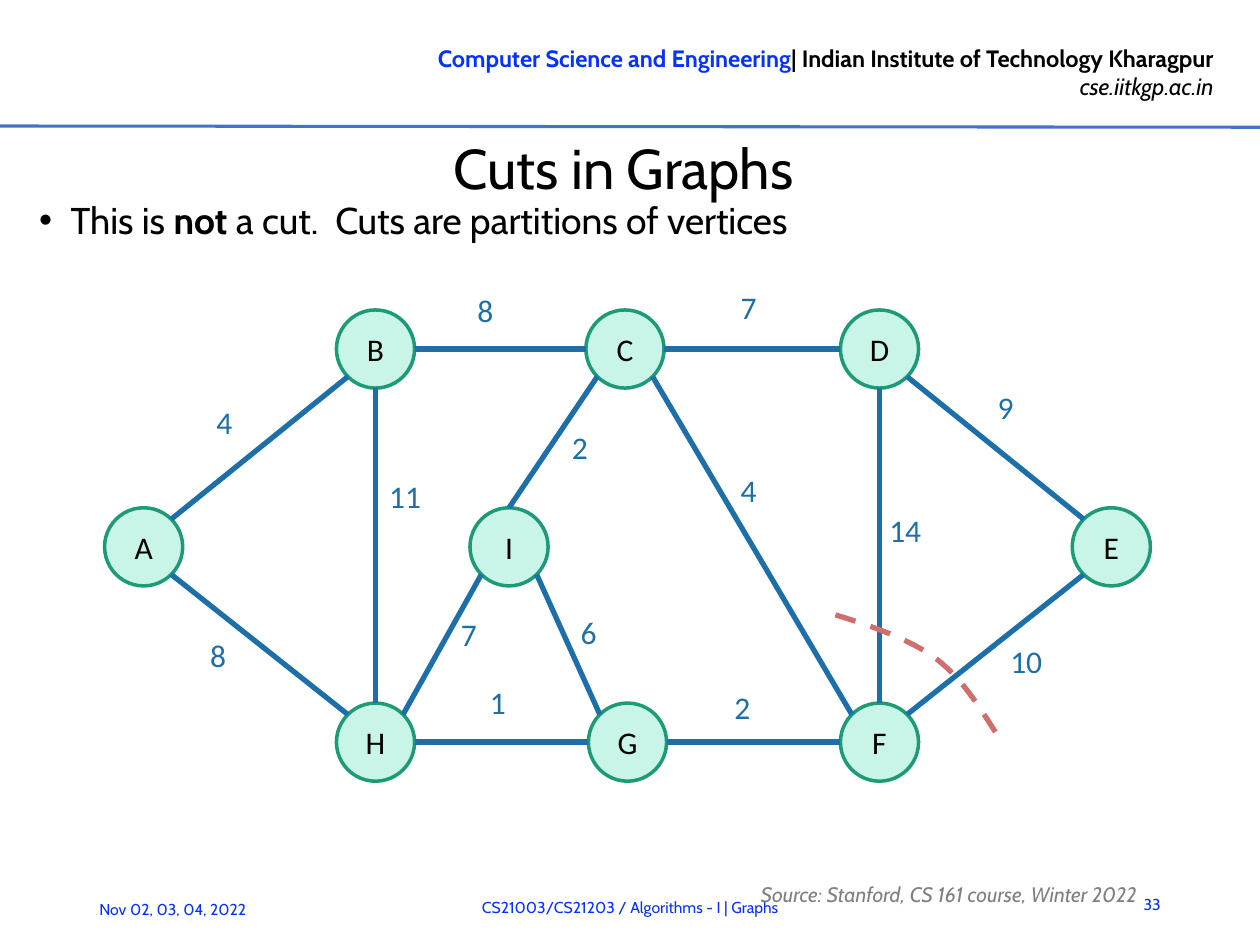
from math import sqrt

from lxml.etree import SubElement
from pptx import Presentation
from pptx.dml.color import RGBColor
from pptx.enum.dml import MSO_LINE
from pptx.enum.shapes import MSO_CONNECTOR as CONN, MSO_SHAPE as SHAPE
from pptx.enum.text import MSO_ANCHOR as ANCHOR, MSO_AUTO_SIZE as AUTO, PP_ALIGN as ALIGN
from pptx.oxml.ns import qn
from pptx.util import Emu, Pt

COLORS = {
    "black": "000000", "blue": "0432FF", "rule": "4472C4", "grey": "808080",
    "node": "C8F5E8", "ring": "1D9A78", "edge": "1D6FA9", "cut": "CF6E6C",
}
PX = 9144
RADIUS = 31
DIAG = RADIUS / sqrt(2)
SITES = {
    "N": (0, -RADIUS), "S": (0, RADIUS), "W": (-RADIUS, 0), "E": (RADIUS, 0),
    "NW": (-DIAG, -DIAG), "NE": (DIAG, -DIAG), "SW": (-DIAG, DIAG), "SE": (DIAG, DIAG),
}
TOP, MIDDLE, BOTTOM = 277, 434, 589
NODES = {
    "A": (114, MIDDLE), "B": (298, TOP), "C": (496, TOP), "D": (698, TOP), "E": (882, MIDDLE),
    "F": (698, BOTTOM), "G": (498, BOTTOM), "H": (298, BOTTOM), "I": (404, MIDDLE),
}
EDGES = [
    ("A", "NE", "B", "SW", "4", 162, 315),
    ("A", "SE", "H", "NW", "8", 157, 500),
    ("B", "E", "C", "W", "8", 369, 226),
    ("B", "S", "H", "N", "11", 299, 374),
    ("C", "E", "D", "W", "7", 578, 224),
    ("C", "SW", "I", "N", "2", 444, 335),
    ("C", "SE", "F", "NW", "4", 578, 369),
    ("D", "SE", "E", "NW", "9", 782, 303),
    ("D", "S", "F", "N", "14", 696, 401),
    ("E", "SW", "F", "NE", "10", 792, 505),
    ("I", "SW", "H", "NE", "7", 356, 483),
    ("I", "SE", "G", "NW", "6", 451, 482),
    ("H", "E", "G", "W", "1", 379, 537),
    ("G", "E", "F", "W", "2", 573, 541),
]
CUT = [
    [(790, 581), (776, 559), (763, 538), (742, 522)],
    [(742, 522), (721, 507), (692, 497), (663, 488)],
]


def px(n):
    return Emu(round(n * PX))


def bezier(points, t):
    weights = ((1 - t) ** 3, 3 * t * (1 - t) ** 2, 3 * t * t * (1 - t), t ** 3)
    return tuple(sum(w * pt[axis] for w, pt in zip(weights, points)) for axis in (0, 1))


class Deck:
    font = "Cabin"
    node_font = "Calibri"

    def __init__(self, width, height):
        self.prs = Presentation()
        self.prs.slide_width, self.prs.slide_height = px(width), px(height)
        self.s = self.prs.slides.add_slide(self.prs.slide_layouts[1])

    def style(self, r, size, color="black", bold=False, italic=False, font=None):
        r.font.size = Pt(size)
        r.font.name = font or self.font
        r.font.bold, r.font.italic = bold, italic
        r.font.color.rgb = RGBColor.from_string(COLORS[color])

    def stroke(self, sp, color, width):
        sp.line.color.rgb = RGBColor.from_string(COLORS[color])
        sp.line.width = Pt(width)

    def place(self, sp, x, y, w, h):
        sp.left, sp.top, sp.width, sp.height = px(x), px(y), px(w), px(h)

    def title(self, text, x, y, w, h):
        sp = self.s.shapes.title
        self.place(sp, x, y, w, h)
        tf = sp.text_frame
        tf.text = text
        tf.auto_size = AUTO.NONE
        tf.vertical_anchor = ANCHOR.MIDDLE
        tf.margin_left = tf.margin_right = tf.margin_bottom = 0
        tf.margin_top = px(1)
        p = tf.paragraphs[0]
        p.alignment = ALIGN.CENTER
        self.style(p.runs[0], 32)

    def body(self, runs, x, y, w, h):
        sp = self.s.placeholders[1]
        self.place(sp, x, y, w, h)
        tf = sp.text_frame
        tf.auto_size = AUTO.NONE
        p = tf.paragraphs[0]
        p.line_spacing, p.space_before, p.space_after = Pt(24), Pt(0), Pt(4)
        pPr = p._p.get_or_add_pPr()
        pPr.set("marL", str(px(25)))
        pPr.set("indent", str(px(-25)))
        SubElement(pPr, qn("a:buFont")).set("typeface", "Arial")
        SubElement(pPr, qn("a:buChar")).set("char", "•")
        for text, bold in runs:
            r = p.add_run()
            r.text = text
            self.style(r, 21.3, bold=bold)

    def text(self, paragraphs, x, y, w, h, align=ALIGN.LEFT, anchor=ANCHOR.TOP, spacing=None):
        tf = self.s.shapes.add_textbox(px(x), px(y), px(w), px(h)).text_frame
        tf.word_wrap = True
        tf.vertical_anchor = anchor
        for i, runs in enumerate(paragraphs):
            p = tf.add_paragraph() if i else tf.paragraphs[0]
            p.alignment = align
            if spacing:
                p.line_spacing = Pt(spacing)
            for text, look in runs:
                r = p.add_run()
                r.text = text
                self.style(r, **look)

    def line(self, x1, y1, x2, y2, color, width):
        sp = self.s.shapes.add_connector(CONN.STRAIGHT, px(x1), px(y1), px(x2), px(y2))
        self.stroke(sp, color, width)
        SubElement(sp._element.spPr, qn("a:effectLst"))

    def node(self, name, cx, cy):
        size = px(2 * RADIUS)
        sp = self.s.shapes.add_shape(SHAPE.OVAL, px(cx - RADIUS), px(cy - RADIUS), size, size)
        sp.shadow.inherit = False
        sp.fill.solid()
        sp.fill.fore_color.rgb = RGBColor.from_string(COLORS["node"])
        self.stroke(sp, "ring", 2)
        tf = sp.text_frame
        tf.text = name
        tf.vertical_anchor = ANCHOR.MIDDLE
        p = tf.paragraphs[0]
        p.alignment = ALIGN.CENTER
        self.style(p.runs[0], 18, font=self.node_font)

    def edge(self, start, start_site, end, end_site, weight, x, y):
        ends = [c + d for name, site in ((start, start_site), (end, end_site))
                for c, d in zip(NODES[name], SITES[site])]
        self.line(*ends, "edge", 3)
        self.text([[(weight, dict(size=18, color="edge", font=self.node_font))]], x, y, 86, 50)

    def dashed_curve(self, segments, color, width, steps=12):
        points = [bezier(seg, i / steps) for seg in segments for i in range(1, steps + 1)]
        builder = self.s.shapes.build_freeform(*map(px, segments[0][0]))
        builder.add_line_segments([(px(x), px(y)) for x, y in points], close=False)
        sp = builder.convert_to_shape()
        sp.shadow.inherit = False
        sp.fill.background()
        self.stroke(sp, color, width)
        sp.line.dash_style = MSO_LINE.DASH


def main():
    deck = Deck(1000, 750)
    deck.text([
        [("Computer Science and Engineering", dict(size=13.5, color="blue", bold=True)),
         ("| Indian Institute of Technology Kharagpur", dict(size=13.5, bold=True))],
        [("cse.iitkgp.ac.in", dict(size=13.5, italic=True))],
    ], 265, 30, 708, 56, ALIGN.RIGHT)
    deck.line(0, 100, 1000, 101, "rule", 1.75)
    deck.title("Cuts in Graphs", 32, 105, 926, 55)
    deck.body([("This is ", False), ("not", True),
               (" a cut.  Cuts are partitions of vertices", False)], 21, 154, 937, 88)

    small = dict(size=9, color="blue")
    for text, x, y, w, align in (
        ("33", 882, 698, 49, ALIGN.RIGHT),
        ("Nov 02, 03, 04, 2022", 69, 702, 175, ALIGN.LEFT),
        ("CS21003/CS21203 / Algorithms - I | Graphs", 165, 700, 670, ALIGN.CENTER),
    ):
        deck.text([[(text, small)]], x, y, w, 40, align, ANCHOR.MIDDLE)
    deck.text([[("Source: Stanford, CS 161 course, Winter 2022",
                 dict(size=12, color="grey", italic=True))]],
              594, 693, 402, 23, anchor=ANCHOR.MIDDLE, spacing=21.3)

    for name, center in NODES.items():
        deck.node(name, *center)
    for edge in EDGES:
        deck.edge(*edge)
    deck.dashed_curve(CUT, "cut", 3)
    deck.prs.save("out.pptx")


if __name__ == "__main__":
    main()
